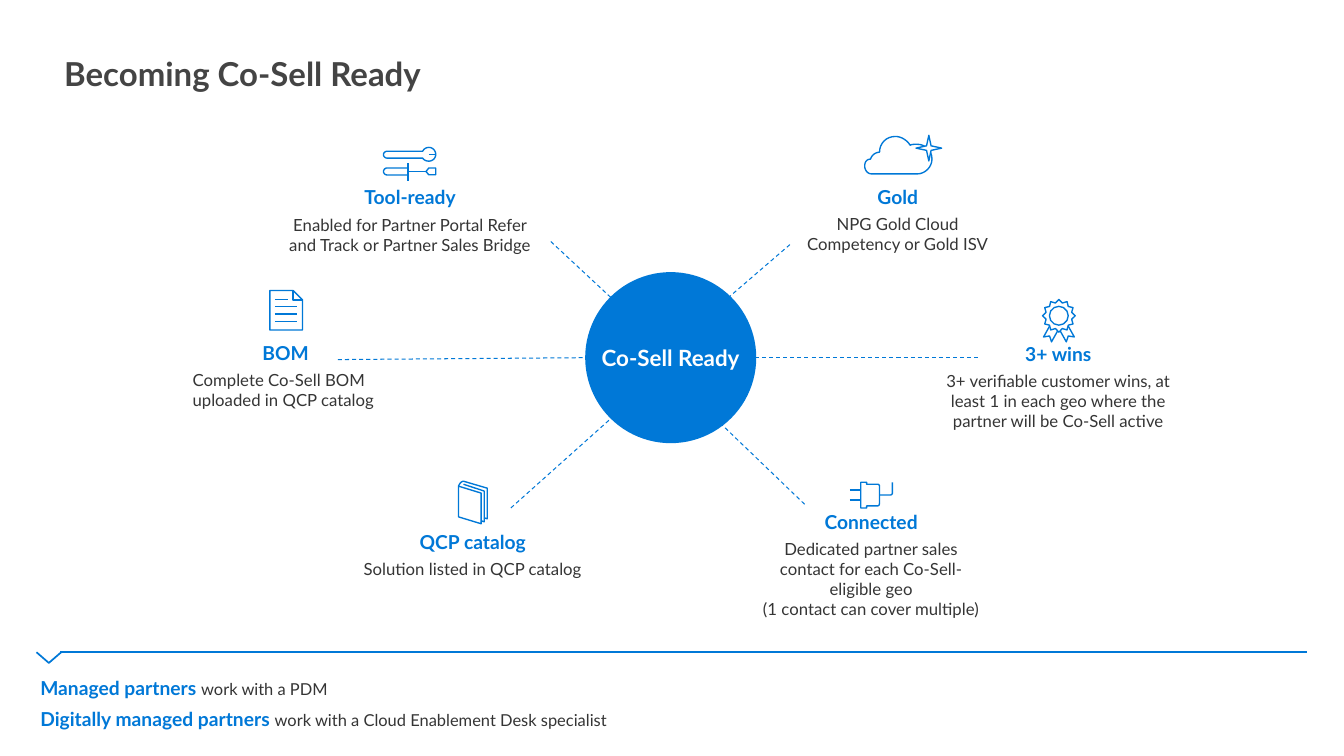
"""Build the Co-Sell Ready hub slide with six topics and a footer."""
from lxml import etree
from pptx import Presentation
from pptx import util as u
from pptx.dml.color import RGBColor
from pptx.enum import dml, shapes, text
from pptx.oxml.ns import qn

BLUE, INK, GREY, WHITE = "0078D7", "353535", "444444", "FFFFFF"
HEAD = {"size": 14, "color": BLUE, "bold": True}
BODY = {"size": 12.2, "color": INK, "bold": False}
NOTE = {**BODY, "size": 12}
TITLE = {"size": 24, "color": GREY, "bold": True}
HUB = {"size": 16.3, "color": WHITE, "bold": True}
MID, LEFT = text.PP_ALIGN.CENTER, text.PP_ALIGN.LEFT
KIND = shapes.MSO_SHAPE
BREAK = "\v"

TOPICS = [
    ((196.6, 131.8, 204.5, 57.6), "Tool-ready",
     ["Enabled for Partner Portal Refer and Track or Partner Sales Bridge"], MID),
    ((579.6, 131.2, 149, 58), "Gold", ["NPG Gold Cloud Competency or Gold ISV"], MID),
    ((677.5, 245.5, 187.2, 75.6), "3+ wins",
     ["3+ verifiable customer wins, at least 1 in each geo where the "
      "partner will be Co-Sell active"], MID),
    ((545.8, 367.9, 177.8, 87.8), "Connected",
     ["Dedicated partner sales contact for each Co-Sell-eligible geo",
      BREAK, "(1 contact can cover multiple)"], MID),
    ((255.6, 383, 177.8, 43.2), "QCP catalog", ["Solution listed in QCP catalog"], MID),
    ((133.2, 244.8, 149.8, 58.3), "BOM",
     ["Complete Co-Sell BOM uploaded in QCP catalog"], LEFT),
]
SPOKES = [
    (372.2, 370.1, 460, 291.6), (246.2, 262, 427, 260.6), (445, 216.7, 401, 175.7),
    (499, 244.1, 576, 177.8), (550, 260.6, 714.2, 260.6), (513.4, 297.4, 587.5, 368.6),
]


def rgb(code):
    """Turn a hex string into a colour."""
    return RGBColor.from_string(code)


def paint(shape, fill=None, line=BLUE, width=1):
    """Set the fill and outline of a shape."""
    shape.shadow.inherit = False
    if fill:
        shape.fill.solid()
        shape.fill.fore_color.rgb = rgb(fill)
    else:
        shape.fill.background()
    shape.line.color.rgb = rgb(line)
    shape.line.width = u.Pt(width)
    return shape


def form(slide, kind, box, fill=None, adjust=None, width=1):
    """Add a preset shape."""
    shape = slide.shapes.add_shape(kind, *map(u.Pt, box))
    if adjust is not None:
        shape.adjustments[0] = adjust
    return paint(shape, fill, width=width)


def bend(start, curve, steps=8):
    """List points along a cubic curve of six numbers."""
    ends = (start, curve[:2], curve[2:4], curve[4:])
    points = []
    for step in range(1, steps + 1):
        t = step / steps
        parts = ((1 - t) ** 3, 3 * t * (1 - t) ** 2, 3 * t * t * (1 - t), t ** 3)
        points.append(tuple(sum(k * p[i] for k, p in zip(parts, ends)) for i in (0, 1)))
    return points


def trace(slide, route, close=False, fill=None, width=1):
    """Draw an outline from points (two numbers) and curves (six numbers)."""
    points = [route[0]]
    for item in route[1:]:
        points += [item] if len(item) == 2 else bend(points[-1], item)
    spots = [(u.Pt(x), u.Pt(y)) for x, y in points]
    pen = slide.shapes.build_freeform(*spots[0], scale=1)
    pen.add_line_segments(spots[1:], close=close)
    return paint(pen.convert_to_shape(), fill, width=width)


def rule(slide, ends, width=1, dash=None):
    """Add a straight line."""
    line = slide.shapes.add_connector(shapes.MSO_CONNECTOR.STRAIGHT, *map(u.Pt, ends))
    line.line.color.rgb = rgb(BLUE)
    line.line.width = u.Pt(width)
    if dash:
        line.line.dash_style = dash
    etree.SubElement(line._element.spPr, qn("a:effectLst"))


def write(frame, paras, align=LEFT, gap=0, lead=None):
    """Fill a text frame with paragraphs of (words, style) pieces."""
    for n, pieces in enumerate(paras):
        para = frame.add_paragraph() if n else frame.paragraphs[0]
        para.alignment = align
        if n:
            para.space_before = u.Pt(gap)
        if lead:
            para.line_spacing = lead
        for words, style in pieces:
            if words == BREAK:
                para.add_line_break()
                continue
            run = para.add_run()
            run.text = words
            run.font.color.rgb = rgb(style["color"])
            looks = {"name": "Lato", "size": u.Pt(style["size"]), "bold": style["bold"]}
            for key, value in looks.items():
                setattr(run.font, key, value)


def label(slide, box, paras, pads=(7.2, 3.6, 7.2, 3.6), **looks):
    """Add a wrapping text box."""
    frame = slide.shapes.add_textbox(*map(u.Pt, box)).text_frame
    frame.word_wrap = True
    for side, pad in zip(("left", "top", "right", "bottom"), pads):
        setattr(frame, "margin_" + side, u.Pt(pad))
    write(frame, paras, **looks)


def tools(slide):
    """Draw the wrench and driver."""
    trace(slide, [(308, 115.2), (282, 115.2), (280.7, 115.2, 279.4, 114, 279.4, 112.7),
                  (279.4, 111.4, 280.7, 110.2, 282, 110.2), (308, 110.2),
                  (308.8, 108.5, 310.5, 107.4, 312.5, 107.4),
                  (315.3, 107.4, 317.5, 109.7, 317.5, 112.5),
                  (317.5, 115.2, 315.3, 117.4, 312.5, 117.4),
                  (310.5, 117.4, 308.8, 116.5, 308, 115.2)], close=True)
    trace(slide, [(297.4, 122.4), (282, 122.4), (280.7, 122.4, 279.4, 123.7, 279.4, 125),
                  (279.4, 126.3, 280.7, 127.5, 282, 127.5), (297.4, 127.5)])
    trace(slide, [(317.5, 127.4), (317.5, 122.4), (312.5, 122.4), (310.4, 125),
                  (312.5, 127.4)], close=True)
    for ends in ((312.5, 112.5, 317.5, 112.5), (297.4, 118.8, 297.4, 131.8),
                 (297.4, 125, 310.4, 125)):
        rule(slide, ends)


def cloud(slide):
    """Draw the cloud with its star."""
    trace(slide, [(668.2, 126.7), (635, 126.7), (632.2, 126.7, 630, 124, 630, 121),
                  (630, 118, 631.4, 116, 634.3, 115.9),
                  (635, 113, 638, 110.9, 640.8, 110.9),
                  (640.8, 104.4, 645.8, 99.4, 652.3, 99.4),
                  (656.6, 99.4, 661, 102.2, 663.1, 105.8),
                  (664.6, 105.1, 666, 105.1, 668.2, 105.1),
                  (674, 105.1, 679, 109.4, 679, 115.9),
                  (679, 121.7, 674, 126.7, 668.2, 126.7)], close=True)
    form(slide, KIND.STAR_4_POINT, (667.4, 98.6, 18.7, 18.7), WHITE)


def medal(slide):
    """Draw the rosette with two mirrored ribbons."""
    tail = [(-1.8, 236.2), (4, 232.6), (11.2, 245.5), (6.8, 244.8), (5.4, 249.1)]
    for side in (1, -1):
        trace(slide, [(771.5 + side * x, y) for x, y in tail], close=True, fill=WHITE)
    form(slide, KIND.STAR_12_POINT, (759.6, 218.2, 23.8, 23.8), WHITE, 0.405)
    form(slide, KIND.OVAL, (764.6, 223.2, 13.7, 13.7), WHITE)


def plug(slide):
    """Draw the plug with its cord and prongs."""
    trace(slide, [(627.1, 370.1), (631.4, 370.1), (631.4, 368.6), (639.4, 368.6),
                  (640.1, 368.6, 640.8, 367.9, 640.8, 366.5), (640.8, 354.2),
                  (640.8, 353.5, 640.1, 352.8, 639.4, 352.8), (631.4, 352.8),
                  (631.4, 351.4), (627.1, 351.4)], close=True)
    trace(slide, [(640.8, 360.7), (648.7, 360.7), (649.4, 360.7, 650.2, 360, 650.2, 359.3),
                  (650.2, 351.4)])
    for y in (357.1, 364.3):
        rule(slide, (619.2, y, 627.1, y))


def book(slide):
    """Draw the catalog."""
    trace(slide, [(352.8, 377.3), (355, 378), (355, 355.7), (337.7, 350.6),
                  (337.7, 350.6, 335.5, 350.6, 334.1, 354.2)])
    trace(slide, [(337.7, 352.8), (352.8, 357.8), (352.8, 380.2), (350.6, 379.4)])
    trace(slide, [(350.6, 359.3), (350.6, 381.6), (334.1, 376.6), (334.1, 354.2)],
          close=True)


def page(slide):
    """Draw the sheet with a folded corner."""
    form(slide, KIND.SNIP_1_RECTANGLE, (196.6, 211.7, 23.8, 28.8), adjust=0.287)
    trace(slide, [(213.6, 211.7), (213.6, 218.5), (220.3, 218.5)])
    for n, end in enumerate((209.5, 216.7, 216.7, 216.7)):
        y = 218.2 + 5.3 * n
        rule(slide, (200.2, y, end, y))


def main():
    """Build and save the slide."""
    deck = Presentation()
    deck.slide_width, deck.slide_height = u.Pt(979.2), u.Pt(550.8)
    slide = deck.slides.add_slide(deck.slide_layouts[6])
    label(slide, (46.8, 37.4, 823.7, 31), [[("Becoming Co-Sell Ready", TITLE)]],
          pads=(0, 5, 0, 0), lead=0.9)
    for box, head, body, align in TOPICS:
        label(slide, box, [[(head, HEAD)]], align=MID)
        drop = 20.9
        label(slide, (box[0], box[1] + drop, box[2], box[3] - drop),
              [[(words, BODY) for words in body]], align=align)
    for draw in (tools, cloud, medal, plug, book, page):
        draw(slide)
    hub = form(slide, KIND.OVAL, (427.5, 199.4, 122.4, 122.4), BLUE, width=2.25)
    hub.text_frame.word_wrap = False
    hub.text_frame.vertical_anchor = text.MSO_ANCHOR.MIDDLE
    write(hub.text_frame, [[("Co-Sell Ready", HUB)]], align=MID)
    for ends in SPOKES:
        rule(slide, ends, 0.75, dml.MSO_LINE.DASH)
    trace(slide, [(26.6, 475.2), (35.6, 483), (44.6, 475.2)], width=1.25)
    rule(slide, (43.9, 475.2, 952.6, 475.2), 1.25)
    label(slide, (22.3, 488.9, 650.2, 49), [
        [("Managed partners ", HEAD), ("work with a PDM", NOTE)],
        [("Digitally managed partners ", HEAD),
         ("work with a Cloud Enablement Desk specialist", NOTE)]], gap=6.1)
    deck.save("out.pptx")


if __name__ == "__main__":
    main()
